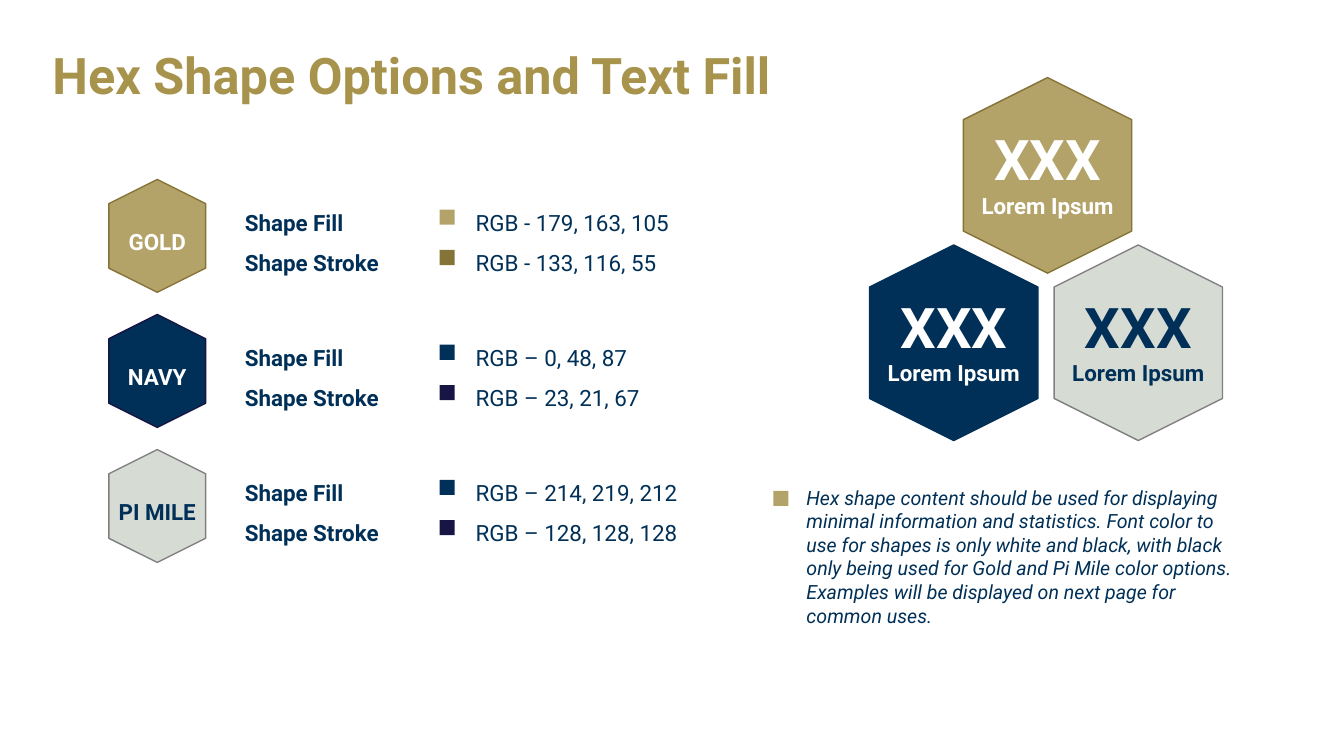
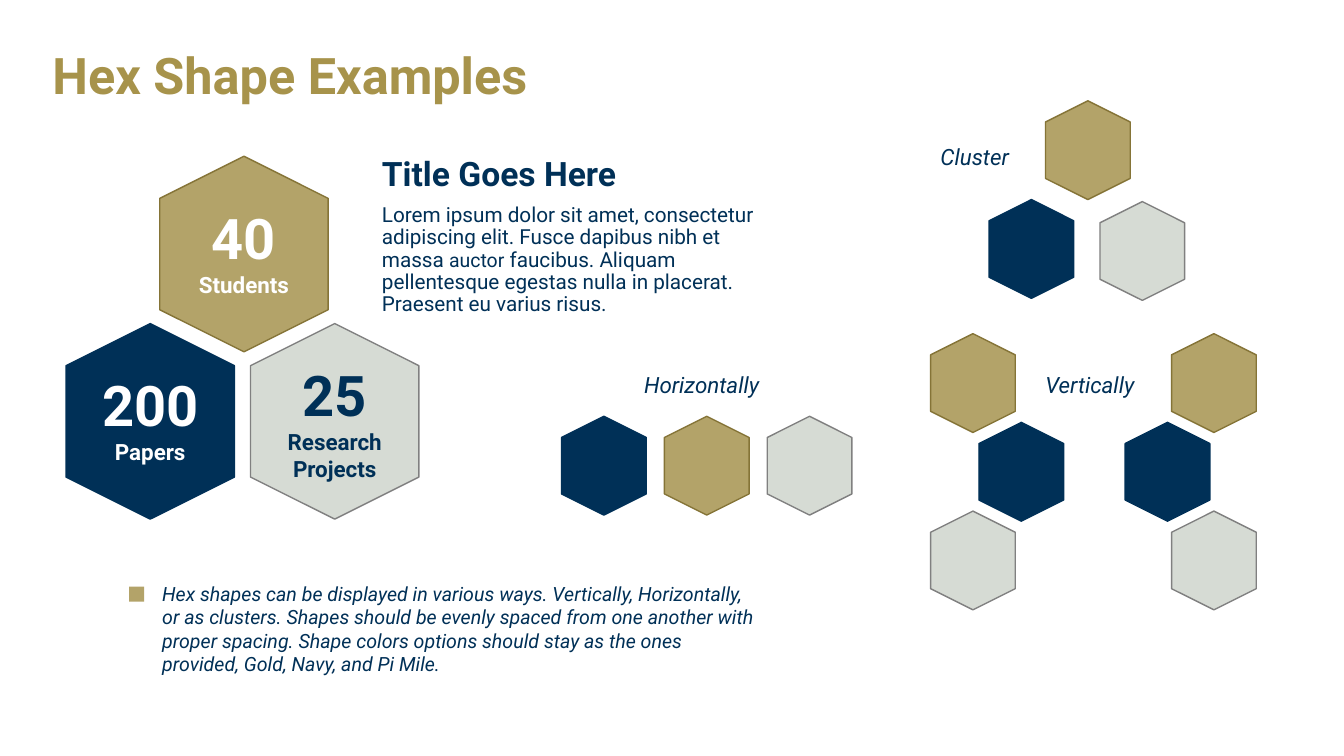
import pptx
import pptx.util
import pptx.dml.color
import pptx.enum.shapes
import pptx.enum.text

Inches, Pt = pptx.util.Inches, pptx.util.Pt
SHAPES = pptx.enum.shapes.MSO_SHAPE
ALIGN = pptx.enum.text.PP_ALIGN

FONT = "Roboto"
COLORS = {
    "title": "A7934B",
    "gold": "B3A369",
    "gold stroke": "857437",
    "navy": "003057",
    "navy stroke": "171543",
    "pi mile": "D6DBD4",
    "pi mile stroke": "808080",
    "white": "FFFFFF",
}
LABEL_COLORS = {"gold": "white", "navy": "white", "pi mile": "navy"}

# Hexagon sizes: point-to-point height, flat-to-flat width
OPTION_HEX = (1.12, 0.96)
STAT_HEX = (1.94, 1.67)
MINI_HEX = (0.98, 0.84)
SWATCH = 0.15


def rgb(color):
    return pptx.dml.color.RGBColor.from_string(COLORS[color])


def style_paragraph(paragraph, size, color, bold=False, italic=False,
                    align=ALIGN.LEFT, spacing=1.0):
    paragraph.alignment = align
    paragraph.line_spacing = spacing
    paragraph.space_before = Pt(0)
    font = paragraph.font
    font.name, font.size = FONT, Pt(size)
    font.bold, font.italic = bold, italic
    font.color.rgb = rgb(color)


def add_text(slide, box, lines, color="navy", **style):
    """Write (text, size) lines as the paragraphs of one text box."""
    frame = slide.shapes.add_textbox(*map(Inches, box)).text_frame
    frame.word_wrap = True
    for index, (text, size) in enumerate(lines):
        paragraph = frame.paragraphs[0] if index == 0 else frame.add_paragraph()
        paragraph.text = text
        style_paragraph(paragraph, size, color, **style)
    return frame


def add_hexagon(slide, center_x, center_y, size, color, stroke=None):
    """Draw an upright hexagon, its point at the top, around a centre."""
    length, breadth = size
    hexagon = slide.shapes.add_shape(
        SHAPES.HEXAGON, Inches(center_x - length / 2),
        Inches(center_y - breadth / 2), Inches(length), Inches(breadth))
    hexagon.rotation = 270
    hexagon.shadow.inherit = False
    hexagon.fill.solid()
    hexagon.fill.fore_color.rgb = rgb(color)
    if stroke is None:
        stroke = "navy" if color == "navy" else color + " stroke"
    hexagon.line.color.rgb = rgb(stroke)
    hexagon.line.width = Pt(1)


def add_swatch(slide, left, top, color):
    swatch = slide.shapes.add_shape(
        SHAPES.RECTANGLE, *map(Inches, (left, top, SWATCH, SWATCH)))
    swatch.shadow.inherit = False
    swatch.fill.solid()
    swatch.fill.fore_color.rgb = rgb(color)
    swatch.line.fill.background()


def add_titled_slide(deck, text):
    slide = deck.slides.add_slide(deck.slide_layouts[5])
    title = slide.shapes.title
    title.left, title.top = Inches(0.42), Inches(0.22)
    title.width, title.height = Inches(12.5), Inches(1.11)
    frame = title.text_frame
    frame.text = text
    frame.auto_size = pptx.enum.text.MSO_AUTO_SIZE.NONE
    frame.vertical_anchor = pptx.enum.text.MSO_ANCHOR.MIDDLE
    style_paragraph(frame.paragraphs[0], 36, "title", bold=True, spacing=0.9)
    return slide


def add_note(slide, left, top, width, height, text):
    """Italic guidance with a gold marker at its upper left."""
    add_swatch(slide, left, top + 0.1, "gold")
    add_text(slide, (left + 0.23, top, width - 0.23, height), [(text, 14)],
             italic=True)


def add_option_row(slide, left, top, color, values, swatches):
    """One colour option: named hexagon, labels, swatches and values."""
    center_x = left + OPTION_HEX[1] / 2
    add_hexagon(slide, center_x, top + OPTION_HEX[0] / 2, OPTION_HEX, color,
                color + " stroke")
    text_top = top + 0.11
    add_text(slide, (center_x - 0.6, text_top + 0.19, 1.2, 0.46),
             [(color.upper(), 16)], LABEL_COLORS[color], bold=True,
             align=ALIGN.CENTER, spacing=1.5)
    add_text(slide, (left + 1.25, text_top, 1.58, 0.86),
             [("Shape Fill", 16), ("Shape Stroke", 16)], bold=True, spacing=1.5)
    for index, swatch in enumerate(swatches):
        add_swatch(slide, left + 3.28, text_top + 0.19 + 0.4 * index, swatch)
    add_text(slide, (left + 3.54, text_top, 2.79, 0.88),
             [(value, 16) for value in values], spacing=1.5)


def add_stat_cluster(slide, left, top, stats):
    """Three large hexagons, gold above navy and Pi Mile."""
    spots = [("gold", 1.77, 0.97), ("navy", 0.84, 2.63), ("pi mile", 2.67, 2.63)]
    for (color, x, y), (figure, caption, rise) in zip(spots, stats):
        add_hexagon(slide, left + x, top + y, STAT_HEX, color)
        add_text(slide, (left + x - 0.79, top + y - rise, 1.58, 1.04),
                 [(figure, 40), (caption, 16)], LABEL_COLORS[color],
                 bold=True, align=ALIGN.CENTER)


def add_mini_group(slide, left, top, spots):
    """Small hexagons at (colour, x, y) centres within the group's box."""
    for color, x, y in spots:
        add_hexagon(slide, left + x, top + y, MINI_HEX, color)


def add_caption(slide, left, top, text):
    add_text(slide, (left, top, 1.44, 0.37), [(text, 16)], italic=True)


def add_article(slide, left, top):
    add_text(slide, (left, top, 3.97, 0.47), [("Title Goes Here", 24)],
             bold=True, spacing=0.9)
    opening = ("Lorem ipsum dolor sit amet, consectetur adipiscing elit. "
               "Fusce dapibus nibh et massa ")
    closing = (" faucibus. Aliquam pellentesque egestas nulla in placerat. "
               "Praesent eu varius risus.")
    frame = add_text(slide, (left, top + 0.47, 4.15, 1.27), [(opening, 14.8)],
                     spacing=0.9)
    paragraph = frame.paragraphs[0]
    for text, size in [("auctor", 13.9), (closing, 14.8)]:
        run = paragraph.add_run()
        run.text = text
        run.font.size = Pt(size)


def build_options_slide(deck):
    slide = add_titled_slide(deck, "Hex Shape Options and Text Fill")
    # Colour options
    options = [
        ("gold", ("RGB - 179, 163, 105", "RGB - 133, 116, 55"),
         ("gold", "gold stroke")),
        ("navy", ("RGB – 0, 48, 87", "RGB – 23, 21, 67"),
         ("navy", "navy stroke")),
        ("pi mile", ("RGB – 214, 219, 212", "RGB – 128, 128, 128"),
         ("navy", "navy stroke")),
    ]
    for index, option in enumerate(options):
        add_option_row(slide, 1.08, 1.78 + 1.34 * index, *option)
    # Sample cluster and guidance
    add_stat_cluster(slide, 8.62, 0.77, [("XXX", "Lorem Ipsum", 0.55)] * 3)
    add_note(slide, 7.67, 4.77, 4.82, 1.51,
             "Hex shape content should be used for displaying minimal "
             "information and statistics. Font color to use for shapes is only "
             "white and black, with black only being used for Gold and Pi Mile "
             "color options. Examples will be displayed on next page for "
             "common uses.")


def build_examples_slide(deck):
    slide = add_titled_slide(deck, "Hex Shape Examples")
    # Statistics with an article
    add_stat_cluster(slide, 0.65, 1.55, [
        ("40", "Students", 0.55), ("200", "Papers", 0.55),
        ("25", "Research Projects", 0.65)])
    add_article(slide, 3.69, 1.51)
    add_note(slide, 1.28, 5.72, 6.32, 1.04,
             "Hex shapes can be displayed in various ways. Vertically, "
             "Horizontally, or as clusters. Shapes should be evenly spaced from "
             "one another with proper spacing. Shape colors options should stay "
             "as the ones provided, Gold, Navy, and Pi Mile.")
    # Cluster
    add_caption(slide, 9.23, 1.37, "Cluster")
    add_mini_group(slide, 9.81, 1.0, [
        ("gold", 0.98, 0.49), ("navy", 0.42, 1.47), ("pi mile", 1.52, 1.49)])
    # Horizontal row
    add_caption(slide, 6.29, 3.63, "Horizontally")
    add_mini_group(slide, 5.57, 4.13, [
        (color, 0.42 + 1.02 * index, 0.49)
        for index, color in enumerate(("navy", "gold", "pi mile"))])
    # Vertical columns, bending towards each other
    add_caption(slide, 10.27, 3.63, "Vertically")
    for left, bend in [(9.23, 0.48), (11.62, -0.46)]:
        add_mini_group(slide, left, 3.31, [
            ("gold", 0.42, 0.49), ("navy", 0.42 + bend, 1.37),
            ("pi mile", 0.42, 2.25)])


def main():
    deck = pptx.Presentation()
    deck.slide_width, deck.slide_height = Inches(13.33), Inches(7.5)
    build_options_slide(deck)
    build_examples_slide(deck)
    deck.save("out.pptx")


if __name__ == "__main__":
    main()
